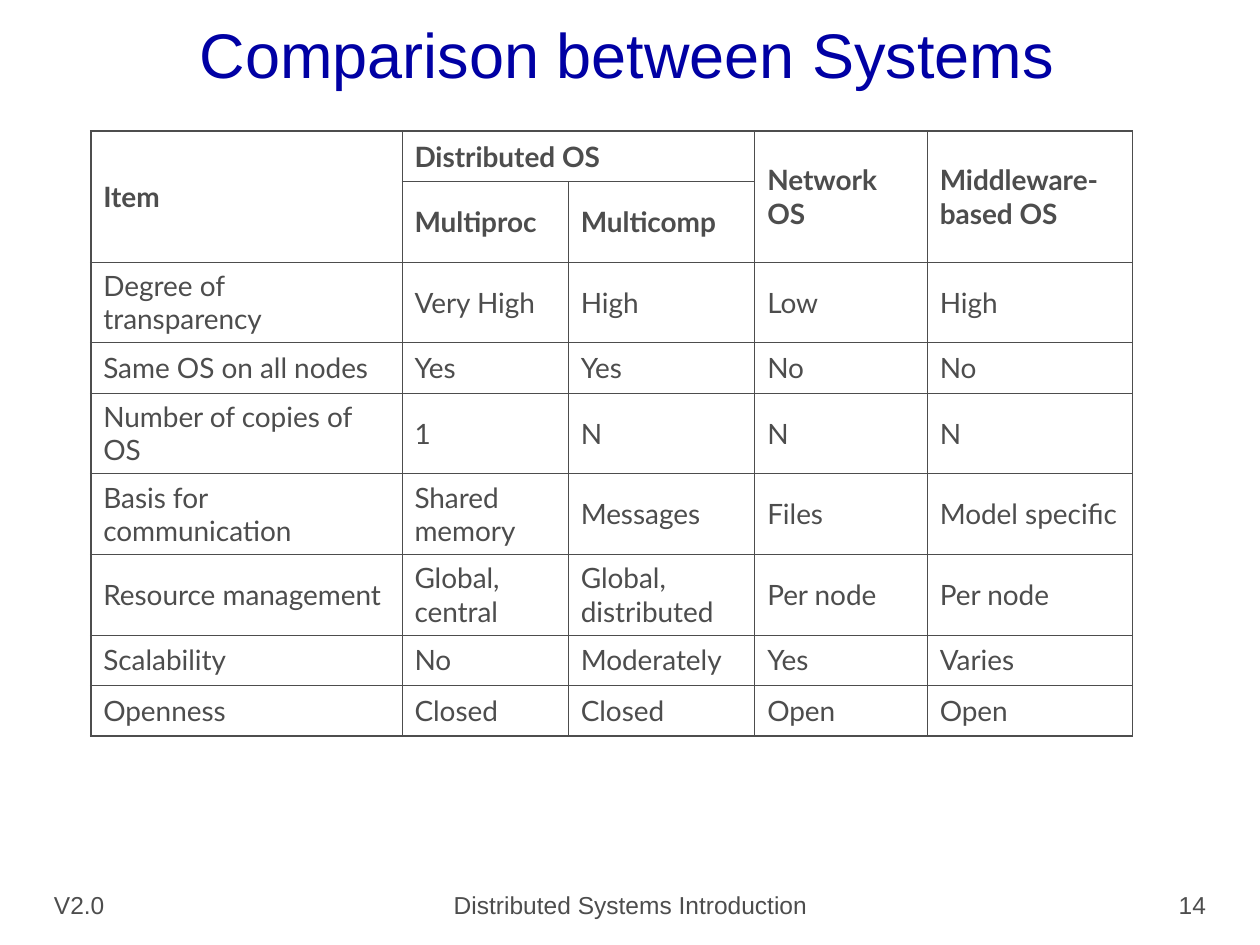
"""Build the slide comparing distributed, network and middleware-based systems."""
from lxml.etree import SubElement
from pptx import Presentation
from pptx.dml.color import RGBColor
from pptx.enum.text import MSO_ANCHOR as Anchor, PP_ALIGN as Align
from pptx.oxml.ns import qn
from pptx.util import Inches, Pt

NAVY = RGBColor(0x00, 0x00, 0xA4)
GRAY = RGBColor(0x4D, 0x4D, 0x4D)
THICK, THIN = Pt(1.08), Pt(0.45)


def write(frame, text, font, size, color, align=Align.LEFT, bold=False):
    paragraph = frame.paragraphs[0]
    paragraph.alignment = align
    run = paragraph.add_run()
    run.text = text
    run.font.name = font
    run.font.size = Pt(size)
    run.font.bold = bold
    run.font.color.rgb = color


def add_border(cell, side, width):
    line = SubElement(cell._tc.get_or_add_tcPr(), qn(f"a:ln{side}"), w=str(width))
    SubElement(SubElement(line, qn("a:solidFill")), qn("a:srgbClr"), val=str(GRAY))


prs = Presentation()
prs.slide_width, prs.slide_height = Inches(10), Inches(7.5)
slide = prs.slides.add_slide(prs.slide_layouts[6])

labels = [
    ("V2.0", 0.33, 6.83, 2.5, 0.52, Anchor.BOTTOM, 14, GRAY, Align.LEFT),
    ("Distributed Systems Introduction", 3.42, 6.83, 3.17, 0.52, Anchor.BOTTOM, 14, GRAY, Align.CENTER),
    ("14", 7.17, 6.83, 2.5, 0.52, Anchor.BOTTOM, 14, GRAY, Align.RIGHT),
    ("Comparison between Systems", 0.32, 0, 9.31, 0.84, Anchor.MIDDLE, 36, NAVY, Align.CENTER),
]
for text, left, top, width, height, anchor, size, color, align in labels:
    frame = slide.shapes.add_textbox(Inches(left), Inches(top), Inches(width), Inches(height)).text_frame
    frame.word_wrap = True
    frame.vertical_anchor = anchor
    write(frame, text, "Arial", size, color, align)

comparison = [
    ["Item", "Distributed OS", "", "Network OS", "Middleware-based OS"],
    ["", "Multiproc", "Multicomp", "", ""],
    ["Degree of transparency", "Very High", "High", "Low", "High"],
    ["Same OS on all nodes", "Yes", "Yes", "No", "No"],
    ["Number of copies of OS", "1", "N", "N", "N"],
    ["Basis for communication", "Shared memory", "Messages", "Files", "Model specific"],
    ["Resource management", "Global, central", "Global, distributed", "Per node", "Per node"],
    ["Scalability", "No", "Moderately", "Yes", "Varies"],
    ["Openness", "Closed", "Closed", "Open", "Open"],
]
column_widths = [2.47, 1.32, 1.48, 1.37, 1.63]
row_heights = [0.4, 0.64, 0.64, 0.4, 0.64, 0.64, 0.64, 0.4, 0.4]
last_row, last_column = len(row_heights) - 1, len(column_widths) - 1

systems = slide.shapes.add_table(
    len(row_heights), len(column_widths), Inches(0.72), Inches(1.04),
    Inches(sum(column_widths)), Inches(sum(row_heights))).table
systems.first_row = systems.horz_banding = False
for column, width in zip(systems.columns, column_widths):
    column.width = Inches(width)
for row, height in zip(systems.rows, row_heights):
    row.height = Inches(height)

for r, entries in enumerate(comparison):
    for c, entry in enumerate(entries):
        cell = systems.cell(r, c)
        add_border(cell, "L", THICK if c == 0 else THIN)
        add_border(cell, "R", THICK if c == last_column else THIN)
        add_border(cell, "T", THICK if r == 0 else THIN)
        add_border(cell, "B", THICK if r == last_row else THIN)
        cell.fill.background()
        cell.vertical_anchor = Anchor.MIDDLE
        if entry:
            write(cell.text_frame, entry, "Lato", 16, GRAY, bold=r < 2)

systems.cell(0, 1).merge(systems.cell(0, 2))
for c in (0, 3, 4):
    systems.cell(0, c).merge(systems.cell(1, c))

prs.save("out.pptx")
